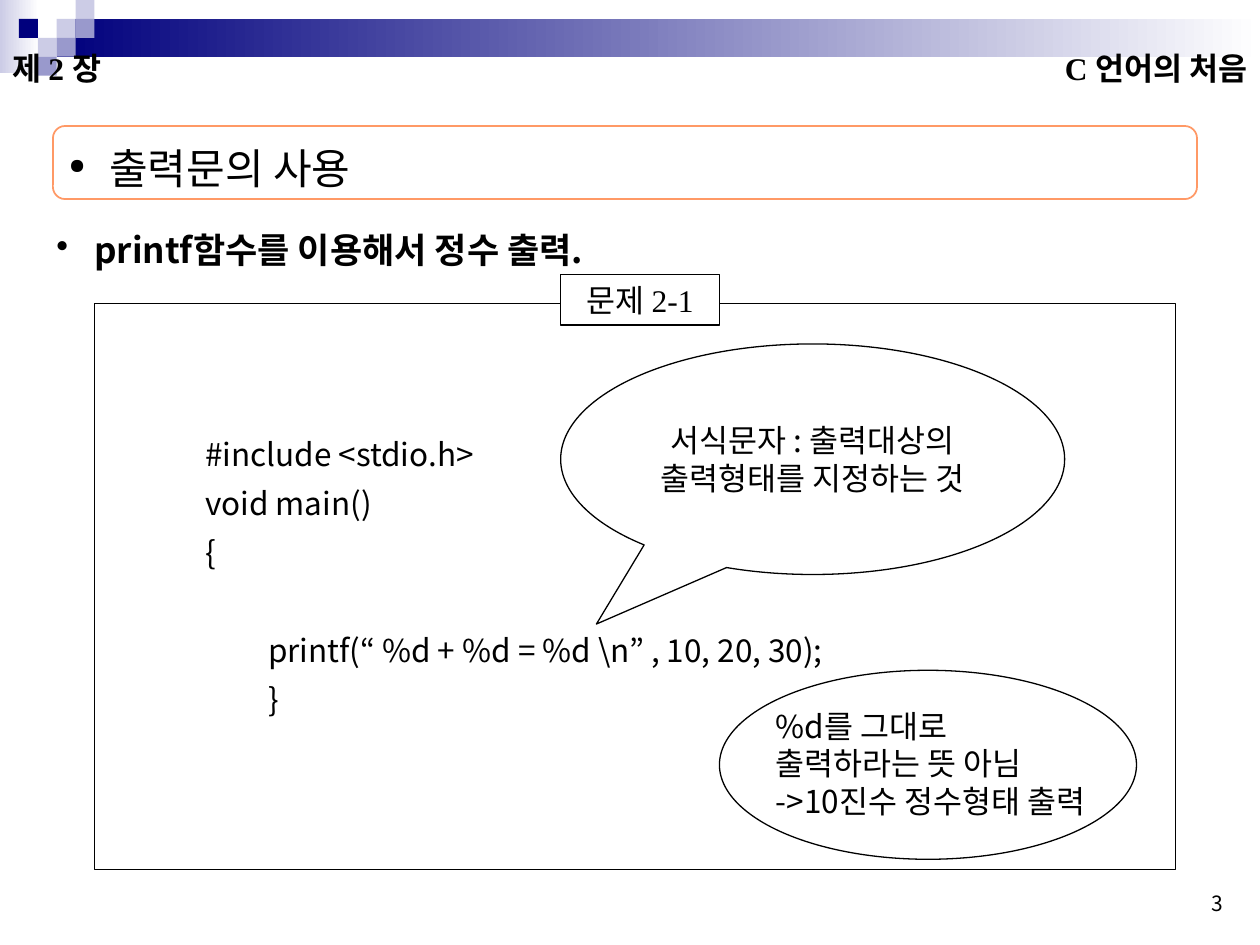
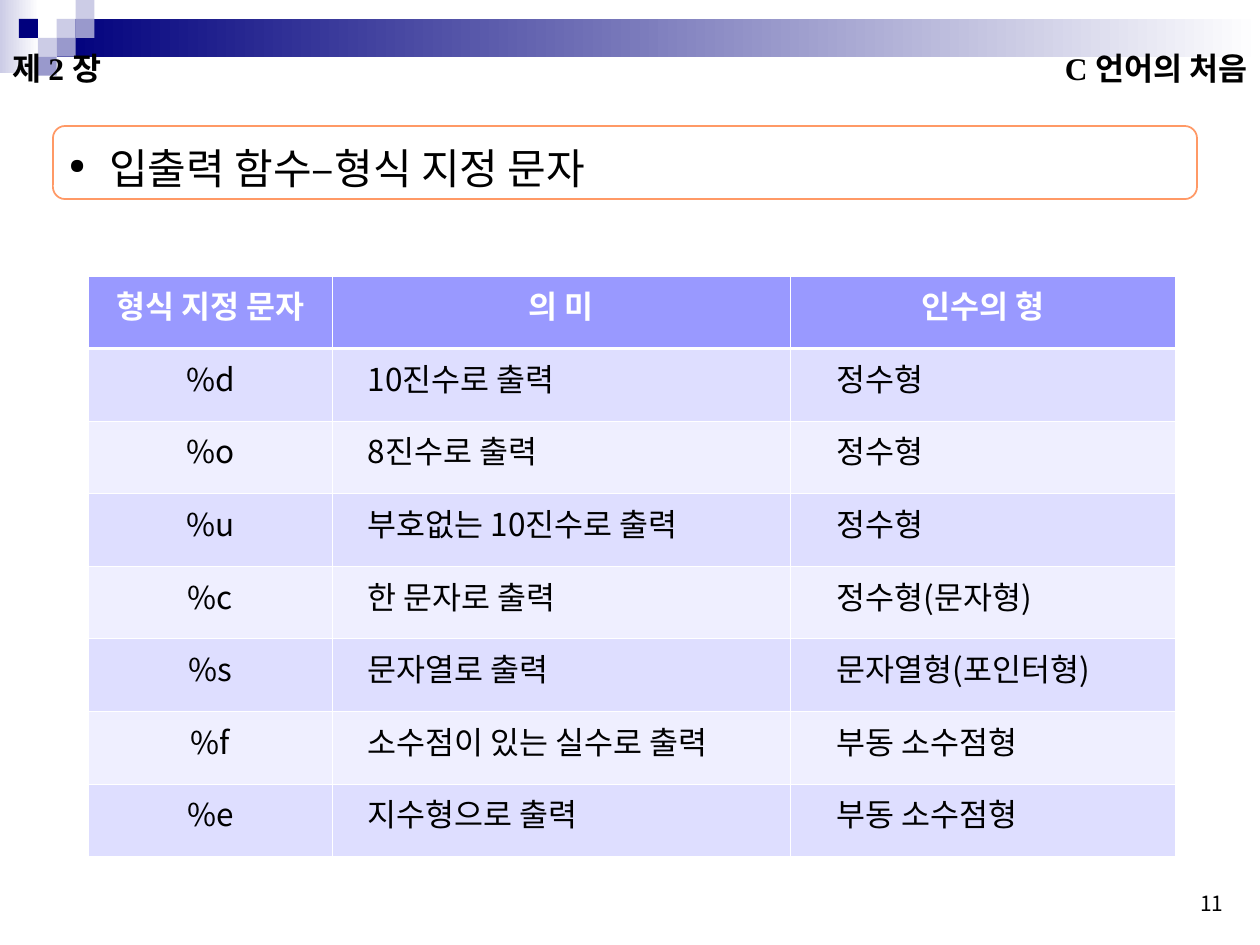
from dataclasses import dataclass
from typing import Any, Optional

import pptx
import pptx.dml.color
import pptx.enum.shapes
import pptx.enum.text
import pptx.oxml.ns
import pptx.slide
import pptx.util
from lxml import etree

Inches = pptx.util.Inches
Pt = pptx.util.Pt
Kind = pptx.enum.shapes.MSO_SHAPE
Align = pptx.enum.text.PP_ALIGN
Anchor = pptx.enum.text.MSO_ANCHOR
Box = tuple[float, float, float, float]

HUES = {
    "black": "000000",
    "white": "FFFFFF",
    "navy": "00007D",
    "pale": "CCCCE6",
    "mid": "9999CC",
    "orange": "FF9966",
    "head": "9999FF",
    "odd": "DEDEFF",
    "even": "EFEFFF",
}
SANS = "Noto Sans CJK KR"
SERIF = "Times New Roman"
TILE = 0.15
TILES = [
    (3, 1, "pale"), (4, 0, "pale"), (4, 1, "mid"), (2, 2, "pale"),
    (1, 1, "navy"), (3, 2, "mid"), (2, 3, "mid"),
]
FADES = [((0, 0, 0.31, 0.58), "pale"), ((0.45, 0.15, 9.55, 0.3), "navy")]
ROWS = [
    ("형식 지정 문자", "의 미", "인수의 형"),
    ("%d", "10진수로 출력", "정수형"),
    ("%o", "8진수로 출력", "정수형"),
    ("%u", "부호없는 10진수로 출력", "정수형"),
    ("%c", "한 문자로 출력", "정수형(문자형)"),
    ("%s", "문자열로 출력", "문자열형(포인터형)"),
    ("%f", "소수점이 있는 실수로 출력", "부동 소수점형"),
    ("%e", "지수형으로 출력", "부동 소수점형"),
]
WIDTHS = (1.94, 3.63, 3.06)
PADS = (0.1, 0.28, 0.37)


@dataclass(frozen=True)
class Style:
    size: float = 18
    face: str = SANS
    hue: str = "black"
    bold: bool = False
    align: Any = Align.LEFT
    lead: Optional[float] = None
    mark: str = ""
    scale: int = 100
    hang: float = 0


@dataclass(frozen=True)
class Line:
    text: str
    indent: float = 0
    before: float = 0


@dataclass(frozen=True)
class Block:
    box: Box
    lines: tuple[Line, ...]
    style: Style = Style()
    anchor: Any = Anchor.MIDDLE
    wrap: bool = True
    kind: Any = None
    fill: Optional[str] = None
    edge: Optional[str] = None
    width: float = 0.75
    bends: tuple[float, ...] = ()


TITLE = Style(24, lead=1.2, mark="●", scale=50, hang=0.32)
POINT = Style(20, bold=True, lead=1.2, mark="•", hang=0.3)
HEADER = Style(face=SERIF, bold=True)
RIGHT = Style(face=SERIF, bold=True, align=Align.RIGHT)
PAGE = Style(12, align=Align.RIGHT)
LABEL = Style(face=SERIF, align=Align.CENTER)
CENTER = Style(align=Align.CENTER)
CODE = Style(lead=1.3)


def color(name: str) -> pptx.dml.color.RGBColor:
    return pptx.dml.color.RGBColor.from_string(HUES[name])


def add(node: Any, tag: str, **attrs: str) -> Any:
    return etree.SubElement(node, pptx.oxml.ns.qn(tag), attrs)


def format(para: Any, style: Style, line: Line) -> None:
    para.text = line.text
    props = para._p.get_or_add_pPr()
    if style.mark:
        props.set("marL", str(Inches(style.hang)))
        props.set("indent", str(-Inches(style.hang)))
        add(add(props, "a:buClr"), "a:srgbClr", val=HUES["black"])
        add(props, "a:buSzPct", val=str(style.scale * 1000))
        add(props, "a:buChar", char=style.mark)
    elif line.indent:
        props.set("marL", str(Inches(line.indent)))
    para.alignment = style.align
    if style.lead:
        para.line_spacing = style.lead
    if line.before:
        para.space_before = Pt(line.before)
    font = para.font
    font.size = Pt(style.size)
    font.bold = style.bold
    font.color.rgb = color(style.hue)
    font.name = style.face
    add(props.find(pptx.oxml.ns.qn("a:defRPr")), "a:ea", typeface=SANS)


def shape(slide: pptx.slide.Slide, kind: Any, box: Box, fill: Optional[str] = None,
          edge: Optional[str] = None, width: float = 0.75) -> Any:
    item = slide.shapes.add_shape(kind, *map(Inches, box))
    item.shadow.inherit = False
    if fill:
        item.fill.solid()
        item.fill.fore_color.rgb = color(fill)
    else:
        item.fill.background()
    if edge:
        item.line.color.rgb = color(edge)
        item.line.width = Pt(width)
    else:
        item.line.fill.background()
    return item


def write(slide: pptx.slide.Slide, block: Block) -> None:
    if block.kind is None:
        item = slide.shapes.add_textbox(*map(Inches, block.box))
    else:
        item = shape(slide, block.kind, block.box, block.fill, block.edge, block.width)
        for index, bend in enumerate(block.bends):
            item.adjustments[index] = bend
    frame = item.text_frame
    frame.word_wrap = block.wrap
    frame.vertical_anchor = block.anchor
    for index, line in enumerate(block.lines):
        para = frame.add_paragraph() if index else frame.paragraphs[0]
        format(para, block.style, line)


def start(deck: Any, title: str, page: int) -> pptx.slide.Slide:
    slide = deck.slides.add_slide(deck.slide_layouts[6])
    for box, hue in FADES:
        fill = shape(slide, Kind.RECTANGLE, box).fill
        fill.gradient()
        fill.gradient_angle = 0
        for stop, name, place in zip(fill.gradient_stops, (hue, "white"), (0, 1)):
            stop.color.rgb = color(name)
            stop.position = place
    for col, row, hue in TILES:
        shape(slide, Kind.RECTANGLE, (col * TILE, row * TILE, TILE, TILE), hue)
    for block in (
        Block((7.05, 6.82, 2.76, 0.5), (Line(str(page)),), PAGE, Anchor.BOTTOM),
        Block((6.5, 0.25, 3.5, 0.58), (Line("C 언어의 처음"),), RIGHT, wrap=False),
        Block((0, 0.25, 2.17, 0.58), (Line("제 2 장"),), HEADER, wrap=False),
        Block((0.42, 1, 9.08, 0.58), (Line(title),), TITLE, wrap=False,
              kind=Kind.ROUNDED_RECTANGLE, edge="orange", width=1, bends=(0.167,)),
    ):
        write(slide, block)
    return slide


def sample(deck: Any) -> None:
    slide = start(deck, "출력문의 사용", 3)
    shape(slide, Kind.RECTANGLE, (0.75, 2.41, 8.58, 4.49), edge="black")
    code = (
        Line("#include <stdio.h>"),
        Line("void main()"),
        Line("{"),
        Line("printf(“ %d + %d = %d \\n” , 10, 20, 30);", 0.5, 28),
        Line("}", 0.5),
    )
    note = (Line("%d를 그대로"), Line("출력하라는 뜻 아님"), Line("->10진수 정수형태 출력"))
    for block in (
        Block((0.35, 1.7, 6.23, 0.5), (Line("printf함수를 이용해서 정수 출력."),),
              POINT, Anchor.TOP),
        Block((4.45, 2.18, 1.26, 0.4), (Line("문제 2-1"),), LABEL,
              kind=Kind.RECTANGLE, fill="white", edge="black"),
        Block((1.53, 3.31, 7.33, 2.44), code, CODE),
        Block((4.45, 2.73, 4, 1.83), (Line("서식문자 : 출력대상의 출력형태를 지정하는 것"),),
              CENTER, kind=Kind.OVAL_CALLOUT, fill="white", edge="black",
              bends=(-0.429, 0.715)),
    ):
        write(slide, block)
    shape(slide, Kind.OVAL, (5.71, 5.32, 3.31, 1.5), edge="black")
    write(slide, Block((6.06, 5.56, 2.75, 1), note, anchor=Anchor.TOP, wrap=False))


def border(cell: Any, row: int) -> None:
    props = cell._tc.get_or_add_tcPr()
    thick = {0: "a:lnB", 1: "a:lnT"}.get(row)
    for side in ("a:lnL", "a:lnR", "a:lnT", "a:lnB"):
        width = 1.47 if side == thick else 0.45
        edge = add(props, side, w=str(Pt(width)))
        add(add(edge, "a:solidFill"), "a:srgbClr", val=HUES["white"])


def formats(deck: Any) -> None:
    slide = start(deck, "입출력 함수–형식 지정 문자", 11)
    box = map(Inches, (0.7, 2.19, sum(WIDTHS), 4.61))
    grid = slide.shapes.add_table(len(ROWS), len(WIDTHS), *box).table
    for col, width in zip(grid.columns, WIDTHS):
        col.width = Inches(width)
    for row, texts in enumerate(ROWS):
        fill = "head" if row == 0 else "odd" if row % 2 else "even"
        for col, text in enumerate(texts):
            cell = grid.cell(row, col)
            border(cell, row)
            cell.fill.solid()
            cell.fill.fore_color.rgb = color(fill)
            if row == 0:
                style = Style(hue="white", bold=True, align=Align.CENTER)
            else:
                style = Style() if col else CENTER
                cell.margin_left = Inches(PADS[col])
            format(cell.text_frame.paragraphs[0], style, Line(text))


def main() -> None:
    deck = pptx.Presentation()
    deck.slide_width = Inches(10)
    deck.slide_height = Inches(7.5)
    sample(deck)
    formats(deck)
    deck.save("out.pptx")


if __name__ == "__main__":
    main()
